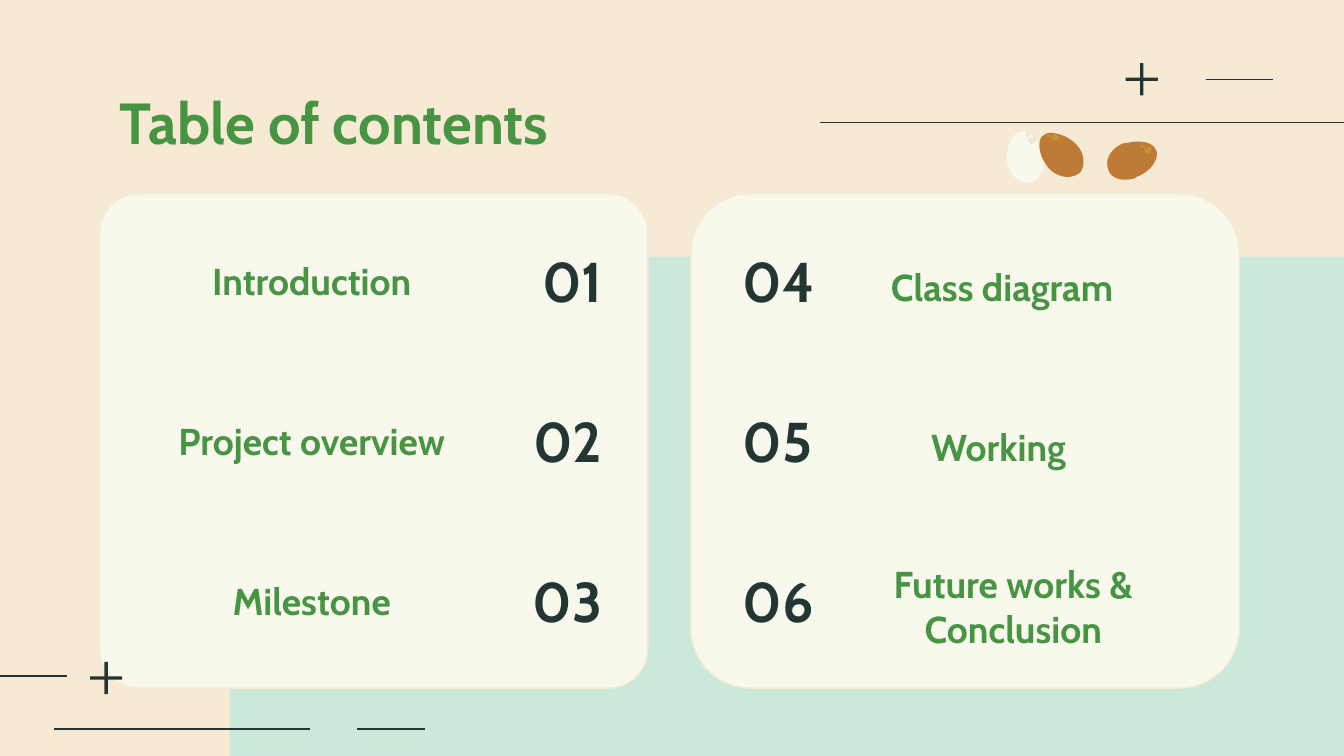
from dataclasses import dataclass
from typing import NamedTuple

import lxml.etree
import pptx
import pptx.dml.color
import pptx.enum.shapes
import pptx.enum.text
import pptx.oxml.ns
import pptx.util

COLUMNS, ROWS = 100, 56.25
CELL = pptx.util.Inches(0.1)
SAND, MINT, CREAM = "F6EAD4", "CAE9D9", "F8F8EC"
GREEN, INK, BROWN, YELLOW = "479442", "233634", "BD7B36", "FAEA3F"
EGG_ROTATION = 353.2
LEFT = pptx.enum.text.PP_ALIGN.LEFT
CENTER = pptx.enum.text.PP_ALIGN.CENTER
RIGHT = pptx.enum.text.PP_ALIGN.RIGHT
PRESET = pptx.enum.shapes.MSO_SHAPE


class Frame(NamedTuple):
    column: float
    row: float
    columns: float
    rows: float


class Segment(NamedTuple):
    start: float
    end: float
    row: float


@dataclass(frozen=True)
class Entry:
    number: str
    topic: str
    topic_column: float
    topic_align: pptx.enum.text.PP_ALIGN = CENTER


@dataclass(frozen=True)
class Card:
    column: float
    rounding: float
    number_column: float
    number_align: pptx.enum.text.PP_ALIGN
    topic_row: float
    entries: tuple[Entry, ...]


@dataclass(frozen=True)
class Egg:
    color: str
    start: tuple[float, float]
    curves: tuple[tuple[float, ...], ...]
    speckle_color: str
    speckle_opacity: int
    speckles: tuple[Frame, ...]


CARDS = (
    Card(7.4, 0.08, 37.4, RIGHT, 18, (
        Entry("01", "Introduction", 10.4),
        Entry("02", "Project overview", 10.4),
        Entry("03", "Milestone", 10.4))),
    Card(51.4, 0.121, 54.3, LEFT, 18.4, (
        Entry("04", "Class diagram", 65.3, LEFT),
        Entry("05", "Working", 61.5),
        Entry("06", "Future works & Conclusion", 62.6))),
)
ENTRY_PITCH = 11.9

EGGS = (
    Egg(CREAM, (76.1, 9.8), (
        (75.4, 9.9, 74.9, 11, 74.9, 11.9),
        (75, 12.9, 75.6, 13.6, 76.4, 13.6),
        (77.2, 13.5, 77.7, 12.7, 77.7, 11.8),
        (77.6, 10.8, 76.9, 9.7, 76.1, 9.8)),
        BROWN, 14, (Frame(76.5, 10.2, 0.6, 0.5), Frame(76.3, 9.9, 0.3, 0.3))),
    Egg(BROWN, (78.2, 9.8), (
        (78, 9.8, 77.9, 9.9, 77.7, 10),
        (77.2, 10.5, 77.4, 11.7, 78, 12.5),
        (78.4, 13, 79.1, 13.3, 79.6, 13.2),
        (79.8, 13.2, 80, 13.1, 80.2, 13),
        (80.7, 12.5, 80.7, 11.5, 80.1, 10.8),
        (79.6, 10.2, 78.8, 9.8, 78.2, 9.8)),
        YELLOW, 18, (Frame(78.2, 10, 0.6, 0.5), Frame(77.9, 10, 0.3, 0.2))),
    Egg(BROWN, (84.1, 10.6), (
        (83.9, 10.6, 83.8, 10.6, 83.7, 10.6),
        (82.7, 10.9, 82.2, 11.7, 82.4, 12.4),
        (82.5, 13.1, 83.3, 13.4, 84.1, 13.3),
        (84.2, 13.3, 84.3, 13.3, 84.4, 13.2),
        (85.4, 13, 86.3, 12.1, 86.1, 11.4),
        (85.9, 10.7, 84.9, 10.5, 84.1, 10.6)),
        YELLOW, 18, (Frame(85.1, 10.9, 0.6, 0.5), Frame(84.8, 10.8, 0.3, 0.2))),
)


def cells(count: float) -> int:
    return round(count * CELL)


def color_of(value: str) -> pptx.dml.color.RGBColor:
    return pptx.dml.color.RGBColor.from_string(value)


def paint(shape, fill: str, outline: str | None = None, opacity: int = 100) -> None:
    shape.shadow.inherit = False
    shape.fill.solid()
    shape.fill.fore_color.rgb = color_of(fill)
    if outline:
        shape.line.color.rgb = color_of(outline)
        shape.line.width = pptx.util.Pt(0.75)
    else:
        shape.line.fill.background()
    if opacity < 100:
        color = shape.fill._xPr.find(".//" + pptx.oxml.ns.qn("a:srgbClr"))
        alpha = lxml.etree.SubElement(color, pptx.oxml.ns.qn("a:alpha"))
        alpha.set("val", str(opacity * 1000))


def add_preset(slide, preset: PRESET, frame: Frame, fill: str,
               outline: str | None = None, opacity: int = 100):
    shape = slide.shapes.add_shape(preset, *map(cells, frame))
    paint(shape, fill, outline, opacity)
    return shape


def add_rule(slide, segment: Segment) -> None:
    rule = slide.shapes.add_connector(
        pptx.enum.shapes.MSO_CONNECTOR.STRAIGHT,
        cells(segment.start), cells(segment.row), cells(segment.end), cells(segment.row))
    rule.line.color.rgb = color_of(INK)
    rule.line.width = pptx.util.Pt(0.75)
    lxml.etree.SubElement(rule._element.spPr, pptx.oxml.ns.qn("a:effectLst"))


def add_plus(slide, column: float, row: float) -> None:
    length, thickness = 2.4, 0.25
    for width, height in ((length, thickness), (thickness, length)):
        frame = Frame(column - width / 2, row - height / 2, width, height)
        add_preset(slide, PRESET.RECTANGLE, frame, INK)


def write(shape, frame: Frame, text: str, size: int, color: str,
          align: pptx.enum.text.PP_ALIGN) -> None:
    shape.left, shape.top, shape.width, shape.height = map(cells, frame)
    text_frame = shape.text_frame
    text_frame.word_wrap = True
    text_frame.auto_size = pptx.enum.text.MSO_AUTO_SIZE.NONE
    text_frame.vertical_anchor = pptx.enum.text.MSO_ANCHOR.MIDDLE
    text_frame.margin_left = text_frame.margin_right = cells(1)
    text_frame.margin_top = text_frame.margin_bottom = cells(1)
    text_frame.text = text
    paragraph = text_frame.paragraphs[0]
    paragraph.alignment = align
    paragraph.font.name = "Cabin"
    paragraph.font.size = pptx.util.Pt(size)
    paragraph.font.bold = True
    paragraph.font.color.rgb = color_of(color)


def add_text(slide, frame: Frame, text: str, size: int, color: str,
             align: pptx.enum.text.PP_ALIGN) -> None:
    write(slide.shapes.add_textbox(*map(cells, frame)), frame, text, size, color, align)


def add_card(slide, card: Card) -> None:
    frame = Frame(card.column, 14.4, 40.8, 36.8)
    panel = add_preset(slide, PRESET.ROUNDED_RECTANGLE, frame, CREAM, SAND)
    panel.adjustments[0] = card.rounding
    for index, entry in enumerate(card.entries):
        offset = index * ENTRY_PITCH
        add_text(slide, Frame(card.number_column, 17.6 + offset, 8.4, 6.5),
                 entry.number, 30, INK, card.number_align)
        add_text(slide, Frame(entry.topic_column, card.topic_row + offset, 25.6, 5.8),
                 entry.topic, 20, GREEN, entry.topic_align)


def curve_points(start: tuple[float, float], curves: tuple[tuple[float, ...], ...],
                 steps: int = 10) -> list[tuple[int, int]]:
    points = []
    for x1, y1, x2, y2, x3, y3 in curves:
        for step in range(1, steps + 1):
            t = step / steps
            weights = ((1 - t) ** 3, 3 * t * (1 - t) ** 2, 3 * t ** 2 * (1 - t), t ** 3)
            x = sum(w * v for w, v in zip(weights, (start[0], x1, x2, x3)))
            y = sum(w * v for w, v in zip(weights, (start[1], y1, y2, y3)))
            points.append((cells(x), cells(y)))
        start = (x3, y3)
    return points


def add_egg(slide, egg: Egg) -> None:
    builder = slide.shapes.build_freeform(*map(cells, egg.start))
    builder.add_line_segments(curve_points(egg.start, egg.curves), close=True)
    shell = builder.convert_to_shape()
    paint(shell, egg.color)
    shell.rotation = EGG_ROTATION
    for frame in egg.speckles:
        speckle = add_preset(slide, PRESET.OVAL, frame, egg.speckle_color,
                             opacity=egg.speckle_opacity)
        speckle.rotation = EGG_ROTATION


def main() -> None:
    presentation = pptx.Presentation()
    presentation.slide_width = cells(COLUMNS)
    presentation.slide_height = cells(ROWS)
    slide = presentation.slides.add_slide(presentation.slide_layouts[5])
    slide.background.fill.solid()
    slide.background.fill.fore_color.rgb = color_of(SAND)
    write(slide.shapes.title, Frame(7.9, 5.9, 84.3, 6.2), "Table of contents", 31, GREEN, LEFT)

    backdrop = add_preset(slide, PRESET.ROUND_1_RECTANGLE,
                          Frame(17.1, 19.1, COLUMNS - 17.1, ROWS - 19.1), MINT)
    backdrop.adjustments[0] = 0.307
    backdrop._element.spPr.xfrm.set("flipH", "1")

    for card in CARDS:
        add_card(slide, card)
    for segment in (Segment(89.7, 94.7, 5.9), Segment(61, COLUMNS, 9.1), Segment(0, 5, 50.3),
                    Segment(4, 23.1, 54.25), Segment(26.6, 31.6, 54.25)):
        add_rule(slide, segment)
    for egg in EGGS:
        add_egg(slide, egg)
    add_plus(slide, 84.95, 5.9)
    add_plus(slide, 7.9, 50.45)
    presentation.save("out.pptx")


if __name__ == "__main__":
    main()
